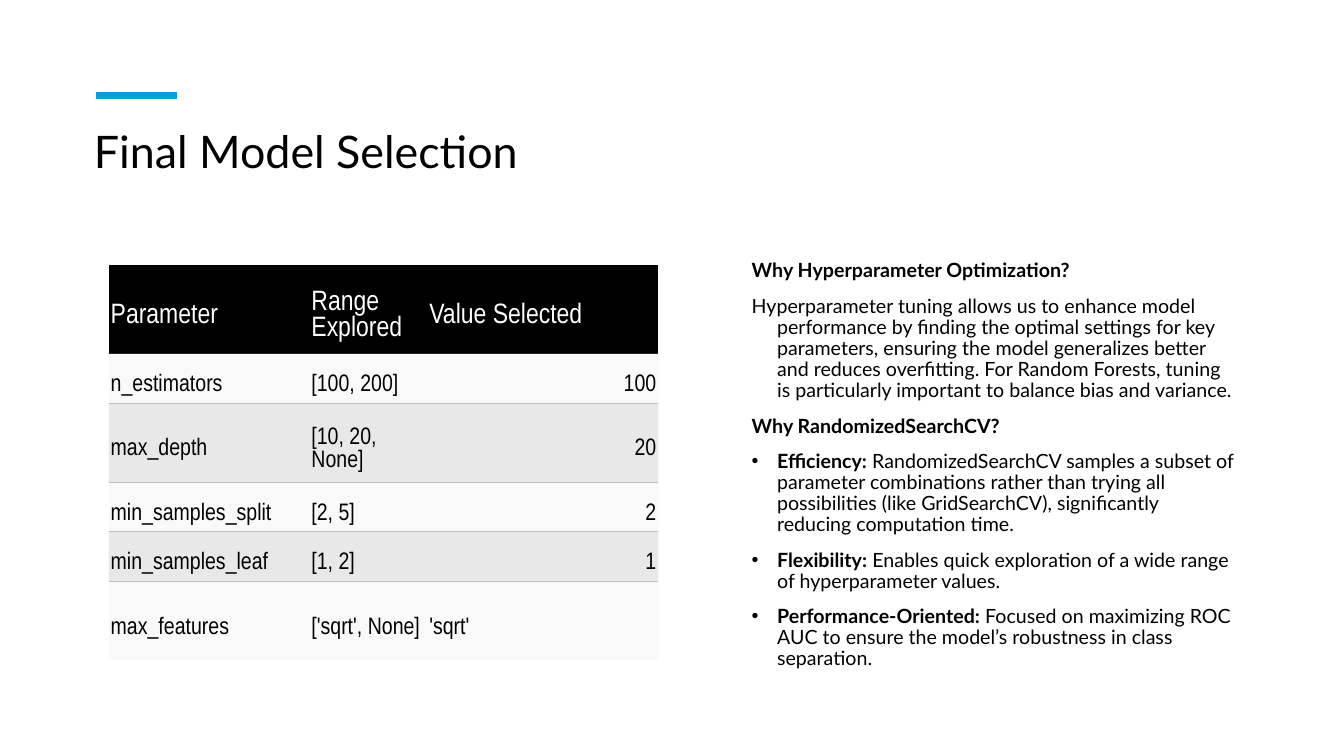
from lxml import etree
from pptx import Presentation
from pptx.dml.color import RGBColor
from pptx.enum.shapes import MSO_CONNECTOR
from pptx.enum.text import MSO_ANCHOR, MSO_AUTO_SIZE, PP_ALIGN
from pptx.oxml import parse_xml
from pptx.oxml.ns import qn
from pptx.util import Cm, Pt

TITLE = "Final Model Selection"
REASONS = [
    ("Why Hyperparameter Optimization?", "", False),
    ("", "Hyperparameter tuning allows us to enhance model performance by finding "
     "the optimal settings for key parameters, ensuring the model generalizes better "
     "and reduces overfitting. For Random Forests, tuning is particularly important "
     "to balance bias and variance.", False),
    ("Why RandomizedSearchCV?", "", False),
    ("Efficiency:", " RandomizedSearchCV samples a subset of parameter combinations "
     "rather than trying all possibilities (like GridSearchCV), significantly "
     "reducing computation time.", True),
    ("Flexibility:", " Enables quick exploration of a wide range of hyperparameter "
     "values.", True),
    ("Performance-Oriented:", " Focused on maximizing ROC AUC to ensure the model’s "
     "robustness in class separation.", True),
]
PARAMETERS = [
    ("Parameter", "Range Explored", "Value Selected"),
    ("n_estimators", "[100, 200]", "100"),
    ("max_depth", "[10, 20, None]", "20"),
    ("min_samples_split", "[2, 5]", "2"),
    ("min_samples_leaf", "[1, 2]", "1"),
    ("max_features", "['sqrt', None]", "'sqrt'"),
]
COL_WIDTHS = [5.06, 2.97, 5.82]
ROW_HEIGHTS = [2.23, 1.25, 1.99, 1.25, 1.25, 1.99]
BODY_FONT, TABLE_FONT = "Lato", "Arial Narrow"
BLACK, WHITE, ACCENT, RULE = "000000", "FFFFFF", "0F9ED5", "BFBFBF"
BANDS = [("BFBFBF", 35), ("F2F2F2", 45)]
NO_STYLE = "{2D5ABB26-0587-4C30-8999-92F81FD0307C}"
A_NS = "http://schemas.openxmlformats.org/drawingml/2006/main"


def rgb(value):
    return RGBColor.from_string(value)


def apply(target, formats):
    for name, value in formats.items():
        setattr(target, name, value)


def place(sp, left, top, width, height):
    apply(sp, dict(left=Cm(left), top=Cm(top), width=Cm(width), height=Cm(height)))
    apply(sp.text_frame, dict(word_wrap=True, auto_size=MSO_AUTO_SIZE.NONE,
                              vertical_anchor=MSO_ANCHOR.TOP))
    return sp.text_frame


def add_run(p, text, font, size, color, bold=False):
    r = p.add_run()
    r.text = text
    apply(r.font, dict(name=font, size=Pt(size), bold=bold))
    r.font.color.rgb = rgb(color)


def set_bullet(p, bulleted):
    pPr = p._p.get_or_add_pPr()
    pPr.set("marL", str(Cm(0.64)))
    pPr.set("indent", str(-Cm(0.64)))
    if bulleted:
        etree.SubElement(pPr, qn("a:buFont"), typeface="Arial")
        etree.SubElement(pPr, qn("a:buChar"), char="•")
    else:
        etree.SubElement(pPr, qn("a:buNone"))


def fill_cell(cell, color, alpha):
    cell.fill.solid()
    cell.fill.fore_color.rgb = rgb(color)
    if alpha < 100:
        clr = cell._tc.tcPr.find(".//" + qn("a:srgbClr"))
        etree.SubElement(clr, qn("a:alpha"), val=str(alpha * 1000))


def add_border(cell, side):
    cell._tc.tcPr.insert(0, parse_xml(
        f'<a:{side} xmlns:a="{A_NS}" w="{Pt(1)}"><a:solidFill>'
        f'<a:srgbClr val="{RULE}"/></a:solidFill></a:{side}>'))


def add_title(s):
    p = place(s.shapes.title, 2.11, 3.15, 25.17, 2.92).paragraphs[0]
    apply(p, dict(alignment=PP_ALIGN.LEFT, line_spacing=0.9))
    add_run(p, TITLE, BODY_FONT, 32, BLACK)


def add_accent(s):
    line = s.shapes.add_connector(MSO_CONNECTOR.STRAIGHT,
                                  Cm(2.41), Cm(2.41), Cm(4.45), Cm(2.41))
    line.line.color.rgb = rgb(ACCENT)
    line.line.width = Pt(4.5)
    etree.SubElement(line._element.spPr, qn("a:effectLst"))


def add_reasons(s):
    tf = place(s.placeholders[1], 18.69, 6.45, 12.7, 10.62)
    for i, (lead, text, bulleted) in enumerate(REASONS):
        p = tf.add_paragraph() if i else tf.paragraphs[0]
        apply(p, dict(line_spacing=0.9, space_before=Pt(10), alignment=PP_ALIGN.LEFT))
        set_bullet(p, bulleted)
        for part, bold in ((lead, True), (text, False)):
            if part:
                add_run(p, part, BODY_FONT, 14, BLACK, bold)


def add_parameters(s):
    frame = s.shapes.add_table(len(PARAMETERS), len(COL_WIDTHS), Cm(2.74), Cm(6.68),
                               Cm(sum(COL_WIDTHS)), Cm(sum(ROW_HEIGHTS)))
    table = frame.table
    apply(table, dict(first_row=True, horz_banding=False))
    table._tbl.tblPr.find(qn("a:tableStyleId")).text = NO_STYLE
    for col, width in zip(table.columns, COL_WIDTHS):
        col.width = Cm(width)
    for row, height in zip(table.rows, ROW_HEIGHTS):
        row.height = Cm(height)
    last = len(PARAMETERS) - 1
    for i, values in enumerate(PARAMETERS):
        fill, alpha = BANDS[i % 2] if i else (BLACK, 100)
        size, color = (17, BLACK) if i else (20, WHITE)
        for j, value in enumerate(values):
            cell = table.cell(i, j)
            apply(cell, dict(vertical_anchor=MSO_ANCHOR.MIDDLE, margin_left=Cm(0.05),
                             margin_top=Cm(0.36), margin_right=Cm(0.05),
                             margin_bottom=Cm(0)))
            fill_cell(cell, fill, alpha)
            if 0 < i < last:
                add_border(cell, "lnB" if i % 2 else "lnT")
            p = cell.text_frame.paragraphs[0]
            p.alignment = PP_ALIGN.RIGHT if value.isdigit() else PP_ALIGN.LEFT
            add_run(p, value, TABLE_FONT, size, color)


def main():
    prs = Presentation()
    apply(prs, dict(slide_width=Cm(33.87), slide_height=Cm(19.05)))
    s = prs.slides.add_slide(prs.slide_layouts[1])
    add_title(s)
    add_accent(s)
    add_reasons(s)
    add_parameters(s)
    prs.save("out.pptx")


if __name__ == "__main__":
    main()
